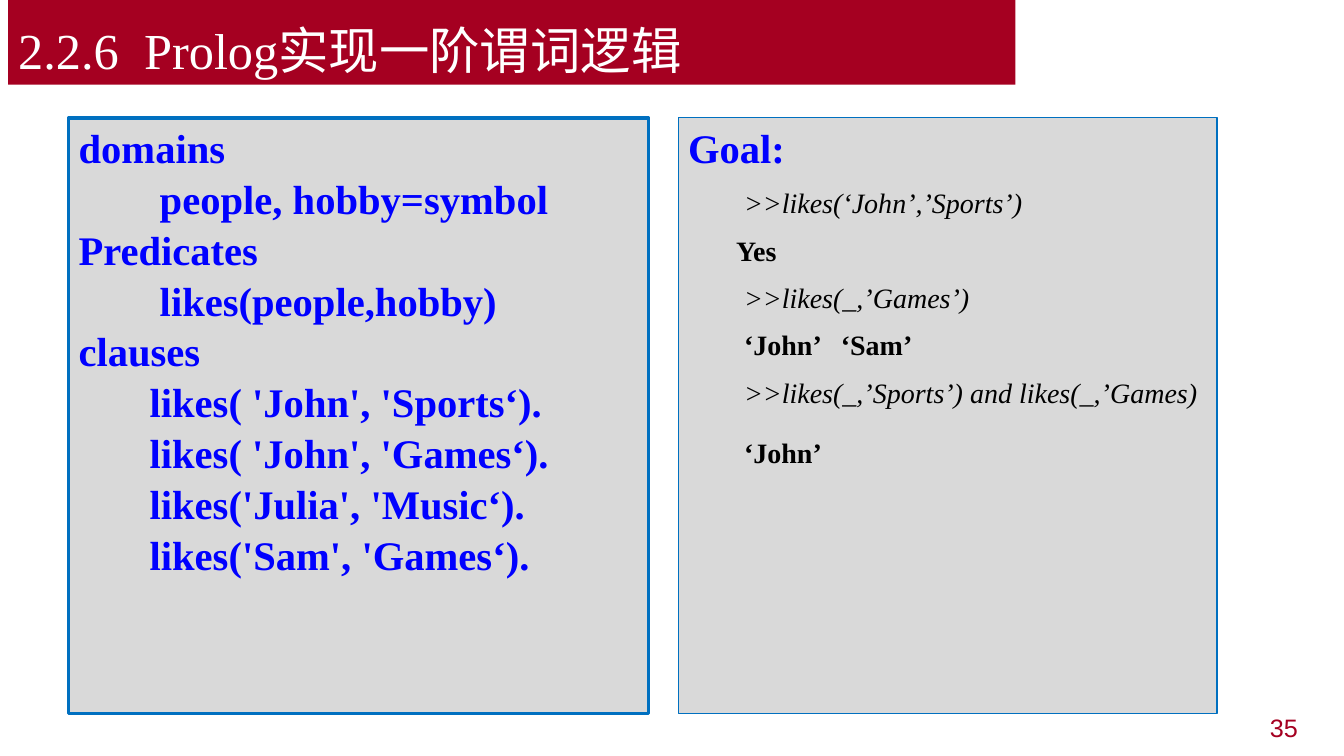
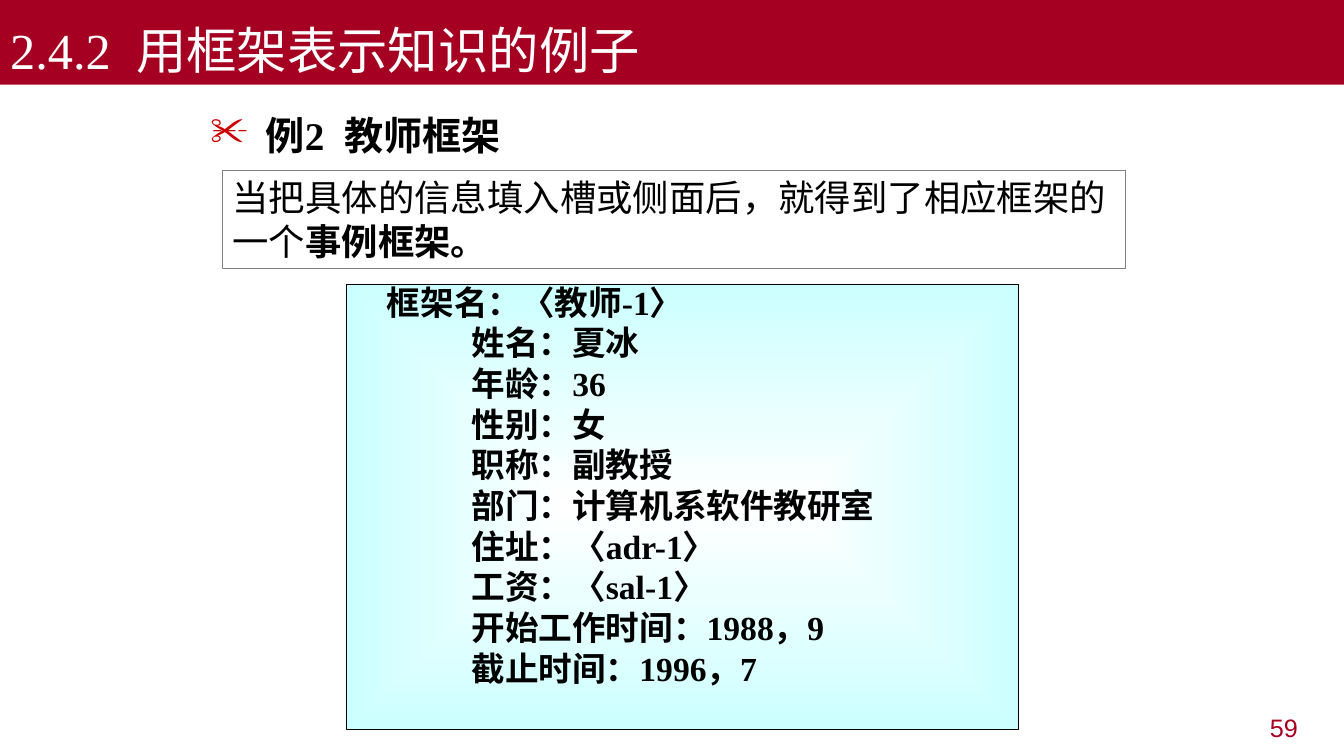
from pptx import Presentation
from pptx.dml.color import RGBColor as RGB
from pptx.enum.shapes import MSO_SHAPE as Shape
from pptx.enum.text import MSO_ANCHOR as Anchor, MSO_AUTO_SIZE as Auto, PP_ALIGN as Align
from pptx.oxml.ns import qn
from pptx.util import Emu, Pt
from lxml.etree import SubElement as Sub

PX = 9144  # one px is a hundredth of an inch
HUES = {
    "band": "A50021", "white": "FFFFFF", "black": "000000", "blue": "0000FF",
    "panel": "D9D9D9", "edge": "0070C0", "grey": "808080", "aqua": "CCFFFF",
    "mark": "CC0000",
}
SERIF, SANS = "Times New Roman", "Arial"


def hue(name):
    return RGB.from_string(HUES[name])


def px(n):
    return Emu(n * PX)


def place(shape, box):
    shape.left, shape.top, shape.width, shape.height = map(px, box)
    frame = shape.text_frame
    frame.word_wrap = True
    frame.auto_size = Auto.NONE
    frame.margin_left = frame.margin_right = px(10)
    frame.margin_top = frame.margin_bottom = px(5)
    frame.vertical_anchor = Anchor.TOP
    return frame


def paint(shape, fill, line=None, width=0.75):
    shape.fill.solid()
    shape.fill.fore_color.rgb = hue(fill)
    if line:
        shape.line.color.rgb = hue(line)
        shape.line.width = Pt(width)


def style(para, size, color="black", face=SERIF, bold=False, italic=False,
          before=0, lead=1.0, left=0, hang=0, bullet=None, align=Align.LEFT):
    props = para._p.get_or_add_pPr()
    props.set("marL", str(left * PX))
    props.set("indent", str(-hang * PX))
    para.alignment = align
    para.line_spacing = lead
    para.space_before = Pt(before)
    para.space_after = Pt(0)
    if bullet:
        tint = Sub(props, qn("a:buClr"))
        Sub(tint, qn("a:srgbClr")).set("val", HUES["mark"])
        Sub(props, qn("a:buChar")).set("char", bullet)
    else:
        Sub(props, qn("a:buNone"))
    for run in para.runs:
        font = run.font
        font.size, font.name = Pt(size), face
        font.bold, font.italic = bold, italic
        font.color.rgb = hue(color)


# Shared title band and page number
def base(deck, layout, title, page, band):
    slide = deck.slides.add_slide(deck.slide_layouts[layout])
    head = slide.shapes.title
    frame = place(head, band)
    paint(head, "band")
    frame.vertical_anchor = Anchor.BOTTOM
    frame.text = title
    style(frame.paragraphs[0], 36, "white")
    foot = place(slide.shapes.add_textbox(0, 0, 0, 0), (987, 702, 311, 52))
    foot.text = page
    style(foot.paragraphs[0], 18, "band", SANS, align=Align.RIGHT)
    return slide


# Program listing
def code(shape, box, lines):
    frame = place(shape, box)
    paint(shape, "panel", "edge", 2.25)
    frame.text = "\n".join(lines)
    for i, para in enumerate(frame.paragraphs):
        style(para, 29, "blue", bold=True, before=1.5 if i else 0)


# Queries in italics, answers in bold
def goal(shape, box, title, lines):
    frame = place(shape, box)
    paint(shape, "panel", "edge")
    frame.text = "\n".join([title, *lines])
    first, *rest = frame.paragraphs
    style(first, 29, "blue", bold=True)
    for para in rest:
        query = ">>" in para.text
        gap = 16.5 if para is rest[-1] else 7.5
        style(para, 20, bold=not query, italic=query, before=gap, lead=1.1)


# Bulleted heading
def topic(slide, box, text):
    frame = place(slide.shapes.add_textbox(0, 0, 0, 0), box)
    frame.text = text
    style(frame.paragraphs[0], 28, bold=True, lead=1.1,
          left=55, hang=55, bullet="✂")


# Framed remark with a bold ending
def remark(slide, box, text, end):
    shape = slide.shapes.add_shape(Shape.RECTANGLE, 0, 0, 0, 0)
    shape.shadow.inherit = False
    frame = place(shape, box)
    paint(shape, "white", "grey")
    frame.text = text
    para = frame.paragraphs[0]
    tail = para.add_run()
    tail.text = end
    style(para, 26, face=SANS)
    tail.font.bold = True


# Frame name followed by its indented slots
def record(shape, box, name, slots):
    frame = place(shape, box)
    paint(shape, "white", "black")
    shape.fill.gradient()
    for stop, tint in zip(shape.fill.gradient_stops, ("white", "aqua")):
        stop.color.rgb = hue(tint)
    grad = shape._element.spPr.find(qn("a:gradFill"))
    grad.remove(grad.find(qn("a:lin")))
    glow = Sub(grad, qn("a:path"))
    glow.set("path", "rect")
    core = Sub(glow, qn("a:fillToRect"))
    for side in "ltrb":
        core.set(side, "50000")
    frame.text = "\n".join([name, *slots])
    for i, para in enumerate(frame.paragraphs):
        style(para, 24, bold=True, lead=0.8,
              before=6 if i else 0, left=114 if i else 30)


def logic(deck):
    slide = base(deck, 3, "2.2.6  Prolog实现一阶谓词逻辑", "35", (8, 0, 1000, 84))
    left, right = list(slide.placeholders)[1:]
    code(left, (68, 117, 576, 591), [
        "domains",
        "        people, hobby=symbol",
        "Predicates",
        "        likes(people,hobby)",
        "clauses",
        "       likes( 'John', 'Sports‘).",
        "       likes( 'John', 'Games‘).",
        "       likes('Julia', 'Music‘).",
        "       likes('Sam', 'Games‘).",
    ])
    goal(right, (673, 117, 535, 591), "Goal:", [
        "        >>likes(‘John’,’Sports’)",
        "       Yes",
        "        >>likes(_,’Games’)",
        "        ‘John’   ‘Sam’",
        "        >>likes(_,’Sports’) and likes(_,’Games)",
        "        ‘John’",
    ])


def teacher(deck):
    slide = base(deck, 1, "2.4.2  用框架表示知识的例子", "59", (0, 0, 1334, 84))
    record(slide.placeholders[1], (344, 282, 667, 442), "框架名：〈教师-1〉", [
        "姓名：夏冰", "年龄：36", "性别：女", "职称：副教授",
        "部门：计算机系软件教研室", "住址：〈adr-1〉", "工资：〈sal-1〉",
        "开始工作时间：1988，9", "截止时间：1996，7",
    ])
    topic(slide, (199, 101, 363, 62), "例2  教师框架")
    remark(slide, (221, 169, 896, 97),
           "当把具体的信息填入槽或侧面后，就得到了相应框架的一个", "事例框架。")


def main():
    deck = Presentation()
    deck.slide_width, deck.slide_height = px(1334), px(750)
    logic(deck)
    teacher(deck)
    deck.save("out.pptx")


if __name__ == "__main__":
    main()
